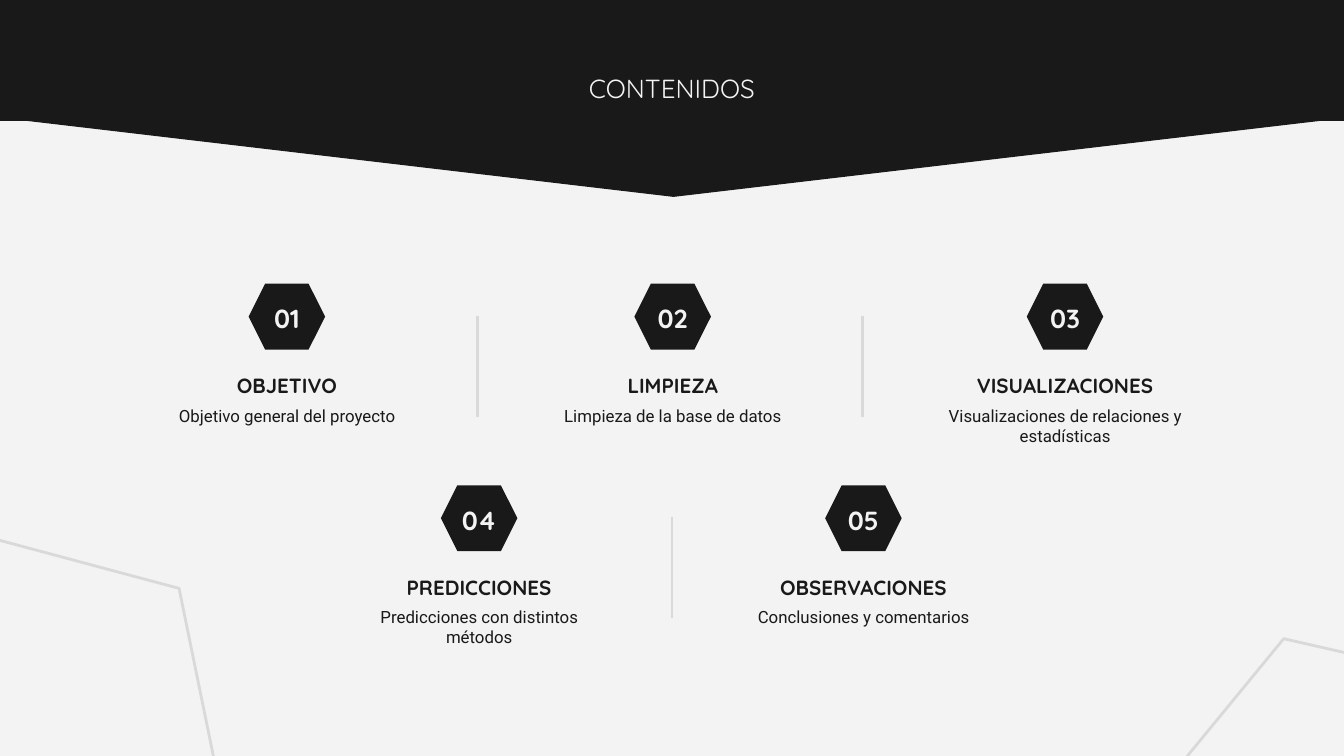
from dataclasses import dataclass

from lxml import etree
from pptx import Presentation
from pptx.dml.color import RGBColor
from pptx.enum.shapes import MSO_CONNECTOR, MSO_SHAPE
from pptx.enum.text import MSO_ANCHOR, MSO_AUTO_SIZE, PP_ALIGN
from pptx.oxml.ns import qn
from pptx.util import Pt

HEXAGON = MSO_SHAPE.HEXAGON
TRIANGLE = MSO_SHAPE.ISOSCELES_TRIANGLE
RECTANGLE = MSO_SHAPE.RECTANGLE
STRAIGHT = MSO_CONNECTOR.STRAIGHT
TOP, MIDDLE = MSO_ANCHOR.TOP, MSO_ANCHOR.MIDDLE
CENTER = PP_ALIGN.CENTER
NO_AUTOFIT = MSO_AUTO_SIZE.NONE


@dataclass(frozen=True)
class Theme:
    dark: RGBColor = RGBColor(0x19, 0x19, 0x19)
    light: RGBColor = RGBColor(0xF3, 0xF3, 0xF3)
    rule: RGBColor = RGBColor(0xD9, 0xD9, 0xD9)
    heading_font: str = "Quicksand"
    body_font: str = "Roboto"
    title_size: int = 14
    heading_size: int = 11
    body_size: int = 9
    rule_width: float = 1.5


THEME = Theme()

ITEM_WIDTH = 155
ITEM_HEIGHT = 103
# Each row: top, then (centre x, number, heading, description) per item
ROWS = [
    (152, [
        (153.7, "01", "OBJETIVO", "Objetivo general del proyecto"),
        (360.4, "02", "LIMPIEZA", "Limpieza de la base de datos"),
        (570.6, "03", "VISUALIZACIONES",
         "Visualizaciones de relaciones y estadísticas"),
    ]),
    (260, [
        (256.7, "04", "PREDICCIONES", "Predicciones con distintos métodos"),
        (462.6, "05", "OBSERVACIONES", "Conclusiones y comentarios"),
    ]),
]
# Dividers: centre x and the top of their row
DIVIDERS = [(255.6, 152), (462.2, 152), (360, 260)]


def add_shape(s, kind, box, fill=None, line=None, width=0.75, rotation=0):
    sp = s.shapes.add_shape(kind, *map(Pt, box))
    sp.shadow.inherit = False
    sp.rotation = rotation
    if fill is None:
        sp.fill.background()
    else:
        sp.fill.solid()
        sp.fill.fore_color.rgb = fill
    if line is None:
        sp.line.fill.background()
    else:
        sp.line.color.rgb = line
        sp.line.width = Pt(width)
    return sp


def set_text(sp, text, font, size, color, bold=False, anchor=MIDDLE):
    tf = sp.text_frame
    tf.text = text
    tf.word_wrap = True
    tf.auto_size = NO_AUTOFIT
    tf.vertical_anchor = anchor
    tf.margin_left = tf.margin_right = Pt(7.2)
    tf.margin_top = tf.margin_bottom = Pt(7.2)
    p = tf.paragraphs[0]
    p.alignment = CENTER
    p.font.name = font
    p.font.size = Pt(size)
    p.font.bold = bold
    p.font.color.rgb = color


def add_text(s, box, *args, **kwargs):
    set_text(s.shapes.add_textbox(*map(Pt, box)), *args, **kwargs)


def add_header(s, box, text):
    x, y, w, h = box
    band_h, point_h = 67.7, 42.5
    # Dark band ending in a downward point
    add_shape(s, TRIANGLE, (x, y + h - point_h, w, point_h),
              THEME.dark, THEME.dark, rotation=180)
    add_shape(s, RECTANGLE, (x, y, w, band_h), THEME.dark)

    # Title, raised above the band
    title = s.shapes.title
    title.left, title.top, title.width, title.height = map(
        Pt, (242.6, 31.7, 234.8, 54))
    set_text(title, text, THEME.heading_font, THEME.title_size,
             THEME.light, anchor=TOP)
    title.element.getparent().append(title.element)


def add_item(s, box, number, heading, description):
    x, y, w, h = box
    cx = x + w / 2
    # Number badge
    add_shape(s, HEXAGON, (cx - 20.5, y, 41, 35.3), THEME.dark)
    add_text(s, (cx - 29.5, y + 6.5, 59, 23.8), number,
             THEME.heading_font, THEME.title_size, THEME.light, bold=True)
    # Heading and description
    add_text(s, (cx - 63, y + 32, 126, 45.4), heading,
             THEME.heading_font, THEME.heading_size, THEME.dark, bold=True)
    add_text(s, (x, y + 58, w, h - 58), description,
             THEME.body_font, THEME.body_size, THEME.dark, anchor=TOP)


def add_divider(s, x, row_top):
    top = row_top + 17.2
    line = s.shapes.add_connector(
        STRAIGHT, Pt(x), Pt(top), Pt(x), Pt(top + 54))
    line.line.color.rgb = THEME.rule
    line.line.width = Pt(THEME.rule_width)
    etree.SubElement(line.element.spPr, qn("a:effectLst"))


def add_corner_outlines(s):
    for x, y, rotation in [(-112.3, 293.8, 15), (596.9, 363.6, 309.4)]:
        add_shape(s, HEXAGON, (x, y, 232.6, 182.2), line=THEME.rule,
                  width=THEME.rule_width, rotation=rotation)


def build_contents(prs):
    s = prs.slides.add_slide(prs.slide_layouts[5])
    s.background.fill.solid()
    s.background.fill.fore_color.rgb = THEME.light

    add_header(s, (-0.7, -2.9, 723, 108), "CONTENIDOS")
    for top, items in ROWS:
        for cx, *texts in items:
            box = (cx - ITEM_WIDTH / 2, top, ITEM_WIDTH, ITEM_HEIGHT)
            add_item(s, box, *texts)
    for x, row_top in DIVIDERS:
        add_divider(s, x, row_top)
    add_corner_outlines(s)


def main():
    prs = Presentation()
    prs.slide_width, prs.slide_height = Pt(720), Pt(405)
    build_contents(prs)
    prs.save("out.pptx")


if __name__ == "__main__":
    main()
